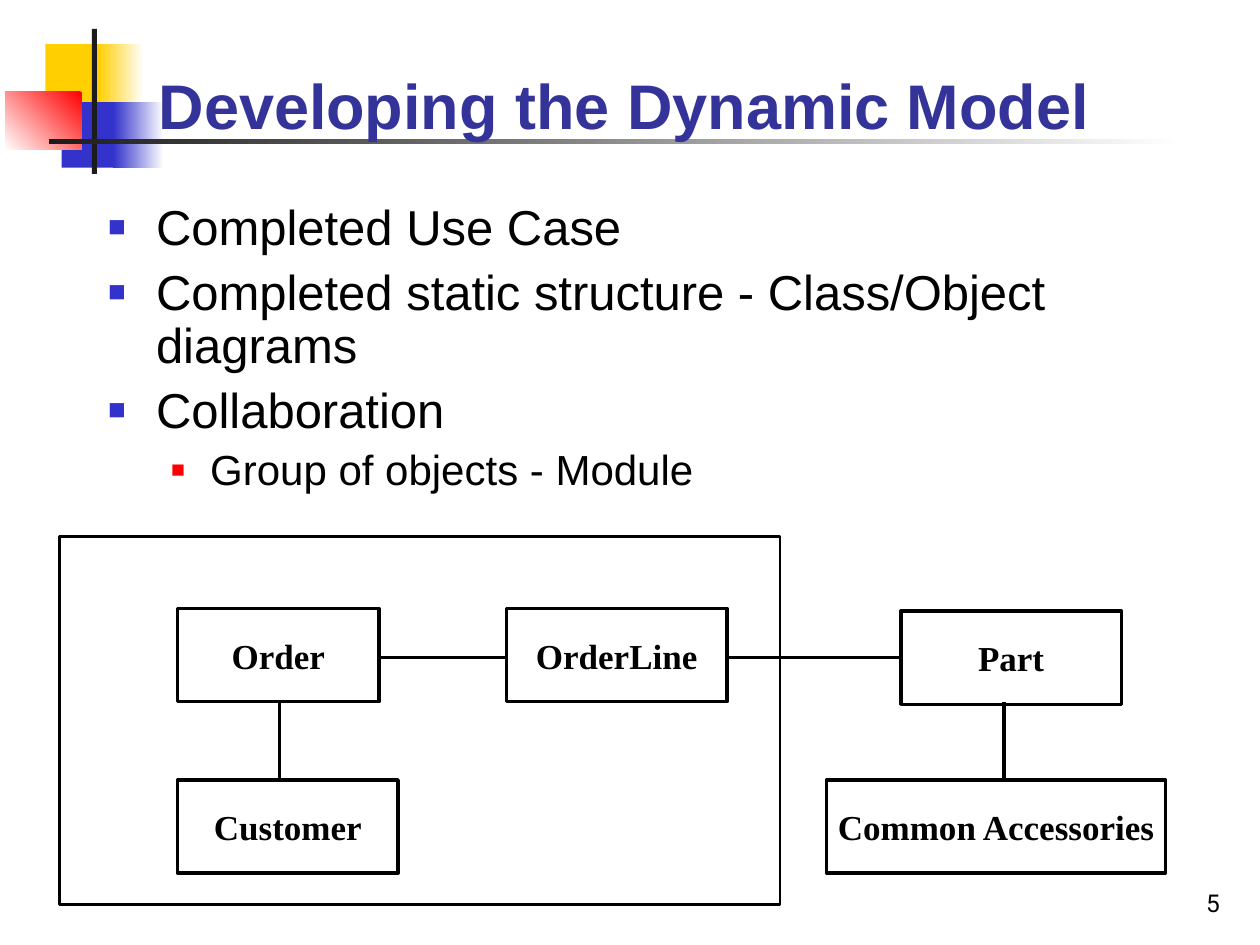
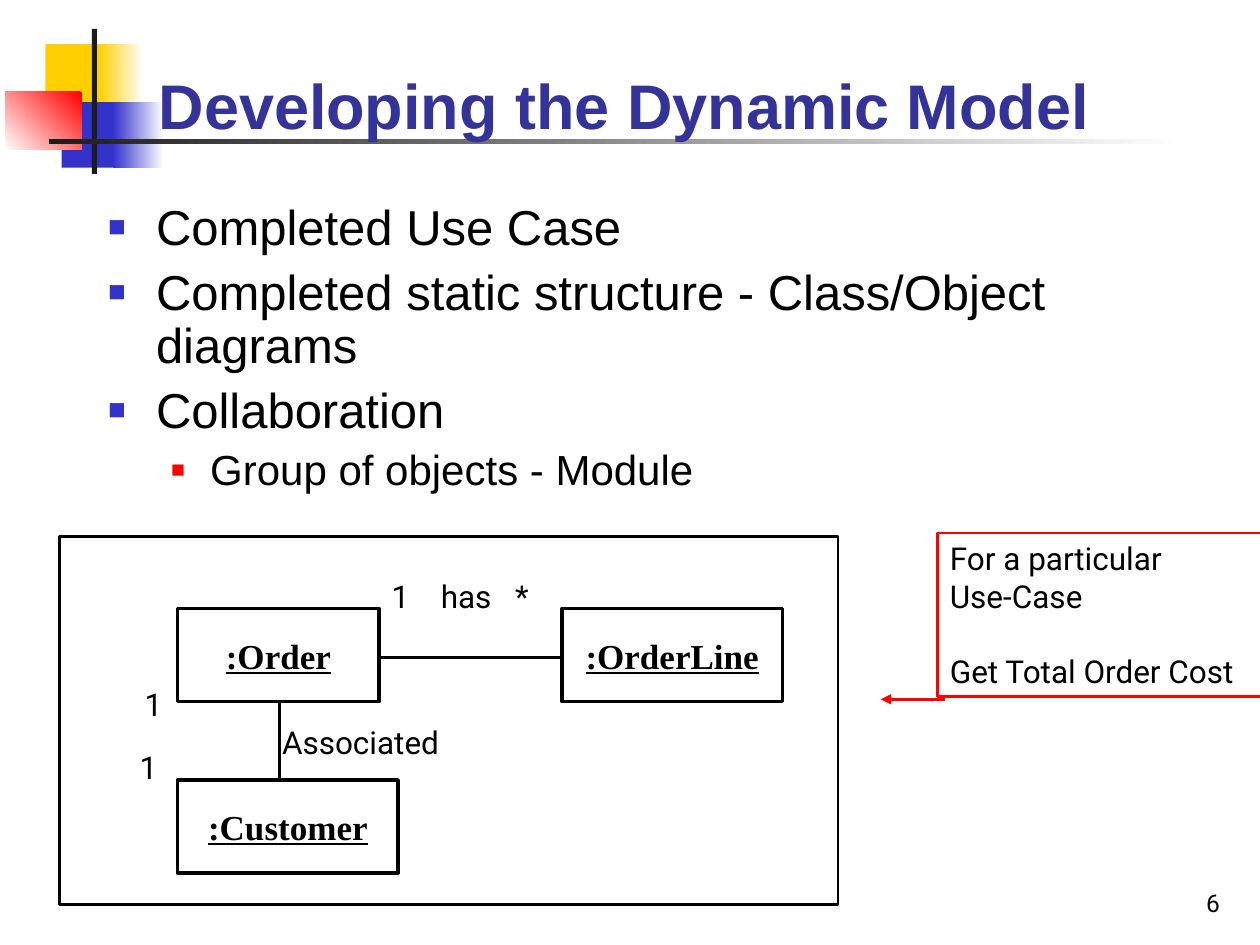
from dataclasses import dataclass
from typing import Any, NamedTuple, Optional

from lxml import etree
from pptx import Presentation
from pptx.dml.color import RGBColor
from pptx.enum.shapes import MSO_CONNECTOR, MSO_SHAPE
from pptx.enum.text import MSO_ANCHOR, PP_ALIGN
from pptx.oxml.ns import qn
from pptx.util import Pt

PX = 9144  # EMU per px, 100 px to the inch

RECTANGLE = MSO_SHAPE.RECTANGLE
STRAIGHT = MSO_CONNECTOR.STRAIGHT
TOP, MIDDLE, BOTTOM = MSO_ANCHOR.TOP, MSO_ANCHOR.MIDDLE, MSO_ANCHOR.BOTTOM
CENTER, RIGHT = PP_ALIGN.CENTER, PP_ALIGN.RIGHT

WHITE = RGBColor(0xFF, 0xFF, 0xFF)
BLACK = RGBColor(0x00, 0x00, 0x00)
CHARCOAL = RGBColor(0x1C, 0x1C, 0x1C)
YELLOW = RGBColor(0xFF, 0xCF, 0x01)
BLUE = RGBColor(0x33, 0x33, 0xCC)
RED = RGBColor(0xFF, 0x00, 0x00)
NAVY = RGBColor(0x33, 0x33, 0x99)

TITLE_FONT = {"name": "Arial", "size": Pt(36), "bold": True}
BULLET_FONT = {"name": "Arial", "size": Pt(28)}
SUB_BULLET_FONT = {"name": "Arial", "size": Pt(24)}
NODE_FONT = {"name": "Times New Roman", "size": Pt(20), "bold": True}
LABEL_FONT = {"name": "Roboto", "size": Pt(18)}
NUMBER_FONT = {"name": "Roboto", "size": Pt(14)}


class Area(NamedTuple):
    left: int
    top: int
    width: int
    height: int


class Ornament(NamedTuple):
    area: Area
    color: RGBColor
    fade_to: Optional[RGBColor] = None
    angle: int = 180


class Bullet(NamedTuple):
    margin: int
    indent: int
    color: RGBColor
    percent: int


class Line(NamedTuple):
    text: str
    font: dict[str, Any]
    layout: dict[str, Any] = {}
    bullet: Optional[Bullet] = None
    tabs: tuple[int, ...] = ()


class Node(NamedTuple):
    area: Area
    text: str


class Link(NamedTuple):
    start: tuple[int, int]
    end: tuple[int, int]


class Label(NamedTuple):
    area: Area
    text: str
    tabs: tuple[int, ...] = ()


@dataclass
class Diagram:
    number: int
    frame: Area
    nodes: list[Node]
    links: list[Link]
    underline: bool = False
    labels: tuple[Label, ...] = ()


# Shared look
ORNAMENTS = [
    Ornament(Area(36, 35, 48, 52), YELLOW),
    Ornament(Area(78, 35, 36, 52), WHITE, YELLOW),
    Ornament(Area(49, 81, 46, 52), BLUE),
    Ornament(Area(90, 81, 40, 52), WHITE, BLUE),
    Ornament(Area(4, 73, 61, 46), RED, WHITE, 225),
    Ornament(Area(73, 23, 4, 115), CHARCOAL),
    Ornament(Area(39, 110, 900, 4), WHITE, CHARCOAL),
]
TITLE_AREA = Area(116, 54, 809, 64)
BODY_AREA = Area(76, 156, 849, 245)
NUMBER_AREA = Area(770, 683, 208, 50)
MAIN_BULLET = Bullet(38, -38, BLUE, 60)
SUB_BULLET = Bullet(81, -31, RED, 55)
FIRST = {"line_spacing": 0.9}
NEXT = FIRST | {"space_before": Pt(7)}
SUB = FIRST | {"space_before": Pt(6)}
BODY = [
    Line("Completed Use Case", BULLET_FONT, FIRST, MAIN_BULLET),
    Line("Completed static structure - Class/Object diagrams", BULLET_FONT, NEXT, MAIN_BULLET),
    Line("Collaboration", BULLET_FONT, NEXT, MAIN_BULLET),
    Line("Group of objects - Module", SUB_BULLET_FONT, SUB, SUB_BULLET),
]

# Diagram grid
NODE_WIDTH, NODE_HEIGHT = 175, 74
LEFT, UPPER, LOWER = 141, 483, 619
ORDER_AREA = Area(LEFT, UPPER, 160, NODE_HEIGHT)
CUSTOMER_AREA = Area(LEFT, LOWER, NODE_WIDTH, NODE_HEIGHT)
ORDER_RIGHT = LEFT + ORDER_AREA.width
LINK_Y, NODE_BOTTOM = 522, UPPER + NODE_HEIGHT
ORDER_TO_CUSTOMER = Link((222, NODE_BOTTOM), (222, LOWER))

CLASSES = Diagram(
    number=5,
    frame=Area(47, 426, 572, 292),
    nodes=[
        Node(ORDER_AREA, "Order"),
        Node(Area(402, UPPER, NODE_WIDTH, NODE_HEIGHT), "OrderLine"),
        Node(CUSTOMER_AREA, "Customer"),
        Node(Area(715, 485, NODE_WIDTH, NODE_HEIGHT), "Part"),
        Node(Area(656, LOWER, 269, NODE_HEIGHT), "Common Accessories"),
    ],
    links=[
        Link((ORDER_RIGHT, LINK_Y), (402, LINK_Y)),
        ORDER_TO_CUSTOMER,
        Link((797, NODE_BOTTOM), (797, LOWER)),
        Link((577, LINK_Y), (715, LINK_Y)),
    ],
)
OBJECTS = Diagram(
    number=6,
    frame=Area(47, 426, 618, 292),
    nodes=[
        Node(ORDER_AREA, ":Order"),
        Node(Area(446, UPPER, NODE_WIDTH, NODE_HEIGHT), ":OrderLine"),
        Node(CUSTOMER_AREA, ":Customer"),
    ],
    links=[Link((ORDER_RIGHT, LINK_Y), (446, LINK_Y)), ORDER_TO_CUSTOMER],
    underline=True,
    labels=(
        Label(Area(214, 569, 150, 40), "Associated"),
        Label(Area(301, 453, 140, 40), "1\thas\t*", (39, 98)),
        Label(Area(105, 539, 34, 40), "1"),
        Label(Area(101, 589, 34, 40), "1"),
    ),
)
NOTE_AREA = Area(744, 423, 261, 130)
NOTE = [
    Line("For a particular", LABEL_FONT),
    Line("Use-Case", LABEL_FONT),
    Line("Get Total Order Cost", LABEL_FONT, {"space_before": Pt(21.5)}),
]
NOTE_ARROW = Link((750, 555), (699, 555))


def apply(target: Any, values: dict[str, Any]) -> None:
    for name, value in values.items():
        setattr(target, name, value)


def scaled(lengths: tuple[int, ...]) -> list[int]:
    return [length * PX for length in lengths]


def add_bullet(para: Any, bullet: Bullet) -> None:
    props = para._p.get_or_add_pPr()
    props.set("marL", str(bullet.margin * PX))
    props.set("indent", str(bullet.indent * PX))
    color = etree.SubElement(props, qn("a:buClr"))
    etree.SubElement(color, qn("a:srgbClr"), val=str(bullet.color))
    etree.SubElement(props, qn("a:buSzPct"), val=str(bullet.percent * 1000))
    etree.SubElement(props, qn("a:buFont"), typeface="Arial")
    etree.SubElement(props, qn("a:buChar"), char="■")


def add_tabs(para: Any, tabs: tuple[int, ...]) -> None:
    tab_list = etree.SubElement(para._p.get_or_add_pPr(), qn("a:tabLst"))
    for position in tabs:
        etree.SubElement(tab_list, qn("a:tab"), pos=str(position * PX), algn="l")


def write(shape: Any, lines: list[Line], color: RGBColor = BLACK,
          anchor: Any = TOP, wrap: bool = True) -> None:
    frame = shape.text_frame
    apply(frame, {"word_wrap": wrap, "vertical_anchor": anchor})
    for index, line in enumerate(lines):
        para = frame.add_paragraph() if index else frame.paragraphs[0]
        if line.bullet:
            add_bullet(para, line.bullet)
        if line.tabs:
            add_tabs(para, line.tabs)
        apply(para, {"alignment": PP_ALIGN.LEFT} | line.layout)
        span = para.add_run()
        span.text = line.text
        apply(span.font, line.font)
        span.font.color.rgb = color


def add_text(page: Any, area: Area, lines: list[Line],
             color: RGBColor = BLACK, anchor: Any = TOP) -> None:
    write(page.shapes.add_textbox(*scaled(area)), lines, color, anchor)


def add_box(page: Any, area: Area, fill: Optional[RGBColor] = None,
            outline: Optional[RGBColor] = None, weight: float = 1.5) -> Any:
    box = page.shapes.add_shape(RECTANGLE, *scaled(area))
    box.shadow.inherit = False
    if fill is None:
        box.fill.background()
    else:
        box.fill.solid()
        box.fill.fore_color.rgb = fill
    if outline is None:
        box.line.fill.background()
    else:
        box.line.color.rgb = outline
        box.line.width = Pt(weight)
    return box


def add_ornament(page: Any, ornament: Ornament) -> None:
    box = add_box(page, ornament.area, ornament.color)
    if ornament.fade_to is not None:
        box.fill.gradient()
        box.fill.gradient_angle = ornament.angle
        for stop, color in zip(box.fill.gradient_stops, (ornament.color, ornament.fade_to)):
            stop.color.rgb = color


def add_link(page: Any, link: Link, color: RGBColor = BLACK,
             weight: float = 2, arrow: bool = False) -> None:
    connector = page.shapes.add_connector(STRAIGHT, *scaled(link.start + link.end))
    connector.line.color.rgb = color
    connector.line.width = Pt(weight)
    if arrow:
        etree.SubElement(connector.line._get_or_add_ln(), qn("a:tailEnd"), type="triangle")
    etree.SubElement(connector._element.spPr, qn("a:effectLst"))


def add_page(deck: Any, diagram: Diagram) -> Any:
    page = deck.slides.add_slide(deck.slide_layouts[6])
    # Decoration, title and bullets
    for ornament in ORNAMENTS:
        add_ornament(page, ornament)
    add_text(page, TITLE_AREA, [Line("Developing the Dynamic Model", TITLE_FONT)], NAVY, BOTTOM)
    add_text(page, BODY_AREA, BODY)
    # Diagram
    node_font = NODE_FONT | {"underline": diagram.underline}
    for node in diagram.nodes:
        box = add_box(page, node.area, WHITE, BLACK, 2)
        write(box, [Line(node.text, node_font, {"alignment": CENTER})], anchor=MIDDLE, wrap=False)
    for link in diagram.links:
        add_link(page, link)
    add_box(page, diagram.frame, outline=BLACK)
    for label in diagram.labels:
        add_text(page, label.area, [Line(label.text, LABEL_FONT, tabs=label.tabs)])
    # Page number
    number = Line(str(diagram.number), NUMBER_FONT, {"alignment": RIGHT})
    add_text(page, NUMBER_AREA, [number], anchor=BOTTOM)
    return page


def main() -> None:
    deck = Presentation()
    apply(deck, {"slide_width": 1000 * PX, "slide_height": 750 * PX})
    add_page(deck, CLASSES)
    page = add_page(deck, OBJECTS)
    # Use-case note
    write(add_box(page, NOTE_AREA, outline=RED), NOTE)
    add_link(page, NOTE_ARROW, RED, 1.5, arrow=True)
    deck.save("out.pptx")


if __name__ == "__main__":
    main()
